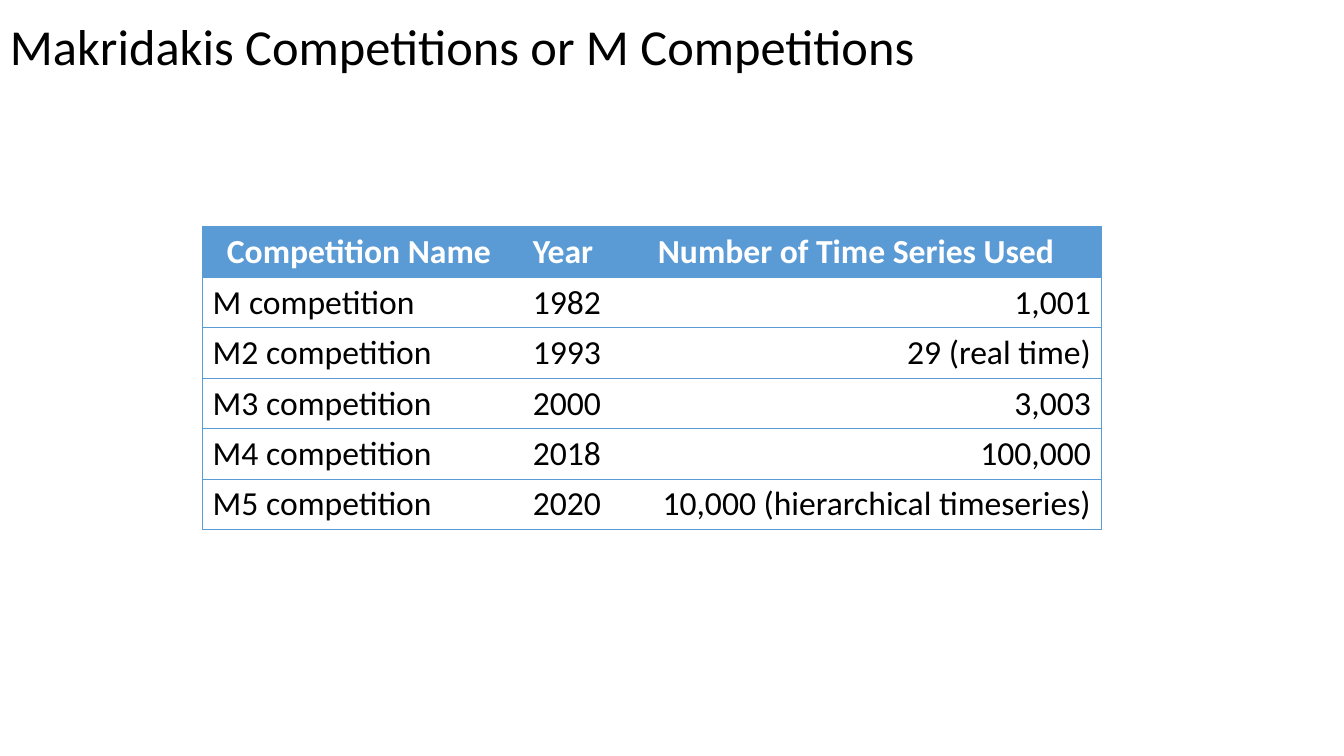
import pptx
import pptx.util
import pptx.dml.color
import pptx.enum.text
import pptx.oxml
import pptx.oxml.ns

BLUE = pptx.dml.color.RGBColor(0x5B, 0x9B, 0xD5)
WHITE = pptx.dml.color.RGBColor(0xFF, 0xFF, 0xFF)
BLACK = pptx.dml.color.RGBColor(0, 0, 0)
FONT = "Calibri"
SLIDE_WIDTH = pptx.util.Inches(13.33)
SLIDE_HEIGHT = pptx.util.Inches(7.5)
LEFT = pptx.enum.text.PP_ALIGN.LEFT
CENTER = pptx.enum.text.PP_ALIGN.CENTER
RIGHT = pptx.enum.text.PP_ALIGN.RIGHT

HEADINGS = ("Competition Name", "Year", "Number of Time Series Used")
COMPETITIONS = (
    ("M competition", "1982", "1,001"),
    ("M2 competition", "1993", "29 (real time)"),
    ("M3 competition", "2000", "3,003"),
    ("M4 competition", "2018", "100,000"),
    ("M5 competition", "2020", "10,000 (hierarchical timeseries)"),
)
COLUMN_WIDTHS = (3.1, 0.95, 4.86)
COLUMN_ALIGNMENTS = (LEFT, RIGHT, RIGHT)
ROW_HEIGHT = 0.5


def write(frame, wording, size, color, bold=False, alignment=LEFT):
    frame.text = wording
    paragraph = frame.paragraphs[0]
    paragraph.alignment = alignment
    font = paragraph.runs[0].font
    font.name = FONT
    font.size = pptx.util.Pt(size)
    font.bold = bold
    font.color.rgb = color


def add_title(slide, wording):
    title = slide.shapes.add_textbox(
        0, pptx.util.Inches(0.1), int(SLIDE_WIDTH * 0.92), int(SLIDE_HEIGHT * 0.095)
    )
    title.text_frame.word_wrap = True
    title.text_frame.auto_size = pptx.enum.text.MSO_AUTO_SIZE.SHAPE_TO_FIT_TEXT
    write(title.text_frame, wording, 36, BLACK)


def set_borders(cell, visible_sides):
    properties = cell._tc.get_or_add_tcPr()
    for position, side in enumerate("LRTB"):
        if side in visible_sides:
            paint = f'<a:solidFill><a:srgbClr val="{BLUE}"/></a:solidFill>'
        else:
            paint = "<a:noFill/>"
        border = pptx.oxml.parse_xml(
            f'<a:ln{side} {pptx.oxml.ns.nsdecls("a")} w="6350">{paint}</a:ln{side}>'
        )
        properties.insert(position, border)


def add_competition_table(slide, left, top):
    rows = (HEADINGS,) + COMPETITIONS
    table = slide.shapes.add_table(
        len(rows),
        len(HEADINGS),
        pptx.util.Inches(left),
        pptx.util.Inches(top),
        pptx.util.Inches(sum(COLUMN_WIDTHS)),
        pptx.util.Inches(ROW_HEIGHT * len(rows)),
    ).table
    table.horz_banding = False
    for column, width in zip(table.columns, COLUMN_WIDTHS):
        column.width = pptx.util.Inches(width)
    for row_index, row in enumerate(rows):
        is_heading = row_index == 0
        for column_index, wording in enumerate(row):
            cell = table.cell(row_index, column_index)
            if is_heading:
                cell.fill.solid()
                cell.fill.fore_color.rgb = BLUE
                write(cell.text_frame, wording, 24, WHITE, True, CENTER)
            else:
                cell.fill.background()
                alignment = COLUMN_ALIGNMENTS[column_index]
                write(cell.text_frame, wording, 24, BLACK, False, alignment)
            outer_side = {0: "L", len(row) - 1: "R"}.get(column_index, "")
            set_borders(cell, "TB" + outer_side)


def main():
    presentation = pptx.Presentation()
    presentation.slide_width = SLIDE_WIDTH
    presentation.slide_height = SLIDE_HEIGHT
    slide = presentation.slides.add_slide(presentation.slide_layouts[6])
    add_title(slide, "Makridakis Competitions or M Competitions")
    add_competition_table(slide, 2.01, 2.25)
    presentation.save("out.pptx")


if __name__ == "__main__":
    main()
